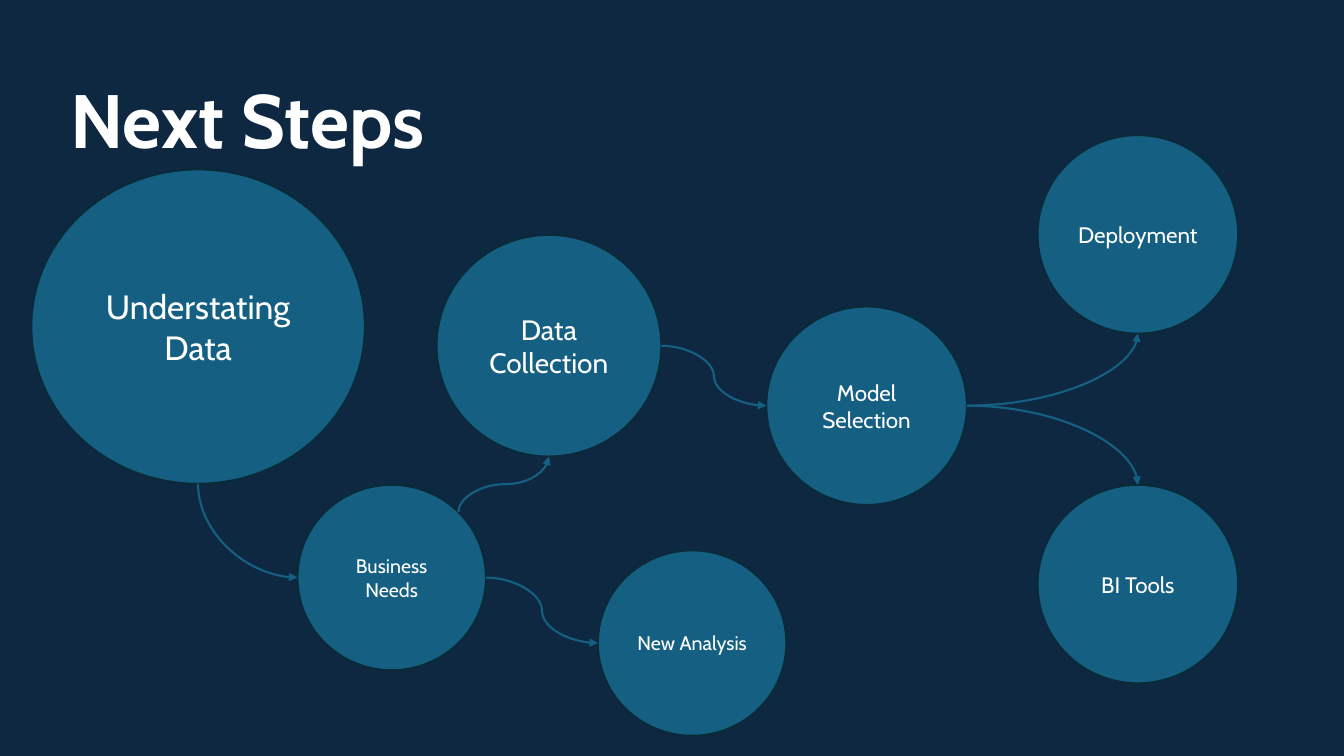
from math import cos, radians, sin

from lxml.etree import SubElement
from pptx import Presentation
from pptx.dml.color import RGBColor
from pptx.enum.shapes import MSO_CONNECTOR, MSO_SHAPE
from pptx.enum.text import MSO_ANCHOR, MSO_AUTO_SIZE, PP_ALIGN
from pptx.oxml.ns import qn
from pptx.util import Inches, Pt

NAVY = RGBColor(0x0E, 0x28, 0x41)
TEAL = RGBColor(0x15, 0x60, 0x82)
DARK_TEAL = RGBColor(0x09, 0x2A, 0x39)
WHITE = RGBColor(0xFF, 0xFF, 0xFF)
LINE_WIDTH = Pt(1.5)

TITLE = "Next Steps"
TITLE_BOX = (0.6, 0.67, 7.36, 1.01)

# font size: (width, height) of the circle
CIRCLE_SIZES = {24: (3.31, 3.12), 20: (2.23, 2.2), 16: (1.99, 1.97), 14: (1.87, 1.84)}

# step: (left, top, font size)
STEPS = {
    "Understating Data": (0.31, 1.68, 24),
    "Business Needs": (2.95, 4.81, 14),
    "Data Collection": (4.33, 2.33, 20),
    "Model Selection": (7.6, 3.04, 16),
    "Deployment": (10.29, 1.34, 16),
    "BI Tools": (10.29, 4.81, 16),
    "New Analysis": (5.93, 5.46, 14),
}

# (from step, side, to step, side)
ARROWS = [
    ("Understating Data", "bottom", "Business Needs", "left"),
    ("Business Needs", "top right", "Data Collection", "bottom"),
    ("Business Needs", "right", "New Analysis", "left"),
    ("Data Collection", "right", "Model Selection", "left"),
    ("Model Selection", "right", "Deployment", "bottom"),
    ("Model Selection", "right", "BI Tools", "top"),
]

# side: (connection site of an ellipse, clockwise angle from the right)
SIDES = {
    "top": (0, 270),
    "left": (2, 180),
    "bottom": (4, 90),
    "right": (6, 0),
    "top right": (7, 315),
}
HORIZONTAL_SIDES = ("left", "right")


def write_text(frame, text, size, bold=False):
    frame.word_wrap = True
    run = frame.paragraphs[0].add_run()
    run.text = text
    font_format = {"name": "Cabin", "size": Pt(size), "bold": bold}
    for name, value in font_format.items():
        setattr(run.font, name, value)
    run.font.color.rgb = WHITE


def add_title(slide):
    frame = slide.shapes.add_textbox(*map(Inches, TITLE_BOX)).text_frame
    write_text(frame, TITLE, 54, bold=True)
    frame.auto_size = MSO_AUTO_SIZE.SHAPE_TO_FIT_TEXT


def add_circle(slide, text, left, top, size):
    box = (left, top, *CIRCLE_SIZES[size])
    circle = slide.shapes.add_shape(MSO_SHAPE.OVAL, *map(Inches, box))
    circle.shadow.inherit = False
    circle.fill.solid()
    circle.fill.fore_color.rgb = TEAL
    circle.line.color.rgb = DARK_TEAL
    circle.line.width = LINE_WIDTH
    write_text(circle.text_frame, text, size)
    circle.text_frame.vertical_anchor = MSO_ANCHOR.MIDDLE
    circle.text_frame.paragraphs[0].alignment = PP_ALIGN.CENTER
    return circle


def edge_point(circle, side):
    angle = radians(SIDES[side][1])
    return (
        circle.left + circle.width / 2 * (1 + cos(angle)),
        circle.top + circle.height / 2 * (1 + sin(angle)),
    )


def add_arrow(slide, start, start_side, end, end_side):
    x1, y1 = edge_point(start, start_side)
    x2, y2 = edge_point(end, end_side)
    starts_flat = start_side in HORIZONTAL_SIDES
    ends_flat = end_side in HORIZONTAL_SIDES
    rotation = 0
    if not starts_flat:
        # Preset curves leave horizontally: lay the box on its side and turn it.
        rotation = 90 if y2 < y1 else 270
        center_x, center_y = (x1 + x2) / 2, (y1 + y2) / 2
        half_width, half_height = abs(y2 - y1) / 2, (x2 - x1) / 2
        if y2 < y1:
            half_height = -half_height
        x1, x2 = center_x + half_width, center_x - half_width
        y1, y2 = center_y - half_height, center_y + half_height

    points = (round(value) for value in (x1, y1, x2, y2))
    connector = slide.shapes.add_connector(MSO_CONNECTOR.CURVE, *points)
    connector.line.color.rgb = TEAL
    connector.line.width = LINE_WIDTH

    properties = connector.element.spPr
    if rotation:
        properties.find(qn("a:xfrm")).set("rot", str(rotation * 60000))
    if starts_flat != ends_flat:
        properties.find(qn("a:prstGeom")).set("prst", "curvedConnector2")
    SubElement(properties.find(qn("a:ln")), qn("a:tailEnd"), type="triangle")
    SubElement(properties, qn("a:effectLst"))

    links = connector.element.find(".//" + qn("p:cNvCxnSpPr"))
    for tag, circle, side in (("a:stCxn", start, start_side), ("a:endCxn", end, end_side)):
        SubElement(links, qn(tag), id=str(circle.shape_id), idx=str(SIDES[side][0]))


def main():
    presentation = Presentation()
    presentation.slide_width = Inches(13.33)
    presentation.slide_height = Inches(7.5)
    slide = presentation.slides.add_slide(presentation.slide_layouts[6])
    slide.background.fill.solid()
    slide.background.fill.fore_color.rgb = NAVY

    add_title(slide)
    circles = {text: add_circle(slide, text, *place) for text, place in STEPS.items()}
    for start, start_side, end, end_side in ARROWS:
        add_arrow(slide, circles[start], start_side, circles[end], end_side)
    presentation.save("out.pptx")


if __name__ == "__main__":
    main()
